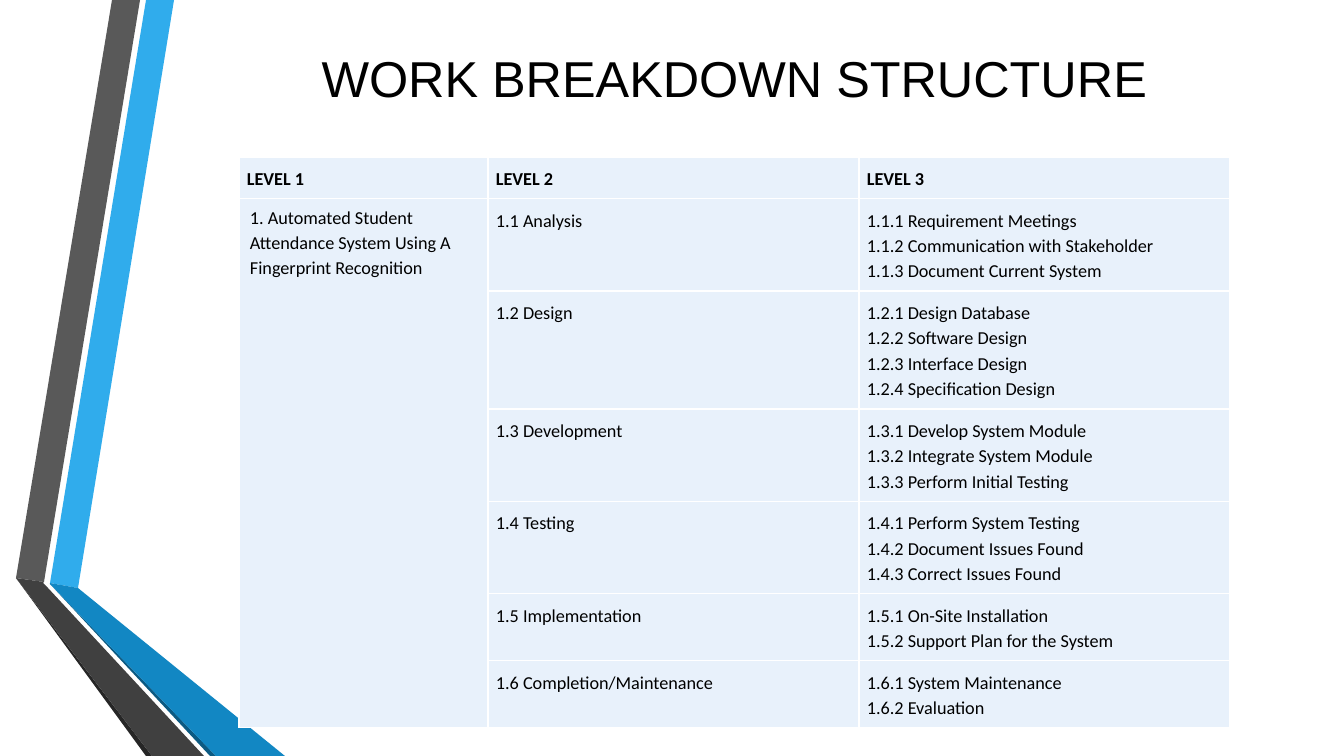
from lxml.etree import SubElement as Sub
from pptx import Presentation
from pptx.dml.color import RGBColor as Rgb
from pptx.enum.text import MSO_ANCHOR as Anchor, PP_ALIGN as Align
from pptx.oxml.ns import qn
from pptx.util import Pt

TITLE = "WORK BREAKDOWN STRUCTURE"
HEADS = ["LEVEL 1", "LEVEL 2", "LEVEL 3"]
PROJECT = "1. Automated Student Attendance System Using A Fingerprint Recognition"
PHASES = [
    ("Analysis", ["Requirement Meetings", "Communication with Stakeholder",
                  "Document Current System"]),
    ("Design", ["Design Database", "Software Design", "Interface Design",
                "Specification Design"]),
    ("Development", ["Develop System Module", "Integrate System Module",
                     "Perform Initial Testing"]),
    ("Testing", ["Perform System Testing", "Document Issues Found",
                 "Correct Issues Found"]),
    ("Implementation", ["On-Site Installation", "Support Plan for the System"]),
    ("Completion/Maintenance", ["System Maintenance", "Evaluation"]),
]
COLORS = {
    "sky": "30ACEC", "gray": "595959", "black": "262626", "navy": "0C5A82",
    "blue": "1287C3", "coal": "404040", "pale": "E8F1FB", "white": "FFFFFF",
    "text": "000000",
}
BANDS = [
    ("sky", [(50, 583), (78, 588), (174, 0), (146, 0)]),
    ("gray", [(140, 0), (112, 0), (16, 578), (44, 582)]),
    ("black", [(16, 578), (146, 756), (152, 756)]),
    ("navy", [(50, 584), (210, 756), (216, 756)]),
    ("blue", [(50, 584), (216, 756), (285, 756), (78, 588), (50, 583)]),
    ("coal", [(204, 756), (48, 588), (43, 583), (44, 582), (16, 578),
              (152, 756)]),
]
WIDTHS = [249, 371, 371]
LEFT, TOP = 239, 157
LINE, PAD = 25.5, 8
SCALE = 914400 / 100.8


def px(size):
    """Turn pixels into EMU."""
    return round(size * SCALE)


def tint(name):
    """Look up a colour by name."""
    return Rgb.from_string(COLORS[name])


def style(font, face, size, bold=False):
    """Set the face, size, weight and colour of a font."""
    font.name, font.size, font.bold = face, Pt(size), bold
    font.color.rgb = tint("text")


def draw_band(slide, name, points):
    """Draw one flat polygon of the side ribbon."""
    pen = slide.shapes.build_freeform(*points[0], scale=SCALE)
    pen.add_line_segments(points[1:], close=True)
    band = pen.convert_to_shape()
    band.shadow.inherit = False
    band.fill.solid()
    band.fill.fore_color.rgb = tint(name)
    band.line.fill.background()


def add_edges(cell):
    """Put thin white borders on all four sides, ahead of the fill."""
    props = cell._tc.get_or_add_tcPr()
    for tag in ("a:lnL", "a:lnR", "a:lnT", "a:lnB"):
        edge = Sub(props, qn(tag), w=str(Pt(1)))
        Sub(Sub(edge, qn("a:solidFill")), qn("a:srgbClr"), val=COLORS["white"])


def fill_cell(cell, lines, bold=False, pad=(PAD, PAD)):
    """Write lines into a cell with its borders, fill and margins."""
    add_edges(cell)
    cell.fill.solid()
    cell.fill.fore_color.rgb = tint("pale")
    cell.margin_left = cell.margin_right = px(pad[0])
    cell.margin_top = cell.margin_bottom = px(pad[1])
    cell.vertical_anchor = Anchor.TOP
    cell.text = "\n".join(lines)
    for para in cell.text_frame.paragraphs:
        para.line_spacing = 1.15
        style(para.font, "Calibri", 13, bold)


def add_grid(slide):
    """Build the table, each row as high as its task list."""
    counts = [1] + [len(tasks) for _, tasks in PHASES]
    highs = [2 * PAD + LINE * count for count in counts]
    grid = slide.shapes.add_table(
        len(highs), len(WIDTHS), px(LEFT), px(TOP),
        px(sum(WIDTHS)), px(sum(highs))).table
    for col, width in zip(grid.columns, WIDTHS):
        col.width = px(width)
    for row, high in zip(grid.rows, highs):
        row.height = px(high)
    for col, head in enumerate(HEADS):
        fill_cell(grid.cell(0, col), [head], bold=True)
    for row, (phase, tasks) in enumerate(PHASES, 1):
        fill_cell(grid.cell(row, 0), [PROJECT] if row == 1 else [], pad=(11, 5))
        fill_cell(grid.cell(row, 1), [f"1.{row} {phase}"])
        fill_cell(grid.cell(row, 2),
                  [f"1.{row}.{num} {task}" for num, task in enumerate(tasks, 1)])
    grid.cell(1, 0).merge(grid.cell(len(PHASES), 0))


def add_title(slide):
    """Add the centred heading."""
    box = slide.shapes.add_textbox(px(307), px(42), px(855), px(71))
    frame = box.text_frame
    frame.word_wrap = False
    frame.text = TITLE
    para = frame.paragraphs[0]
    para.alignment = Align.CENTER
    style(para.font, "Arial", 36)


deck = Presentation()
deck.slide_width, deck.slide_height = px(1344), px(756)
page = deck.slides.add_slide(deck.slide_layouts[6])
for name, points in BANDS:
    draw_band(page, name, points)
add_grid(page)
add_title(page)
deck.save("out.pptx")
